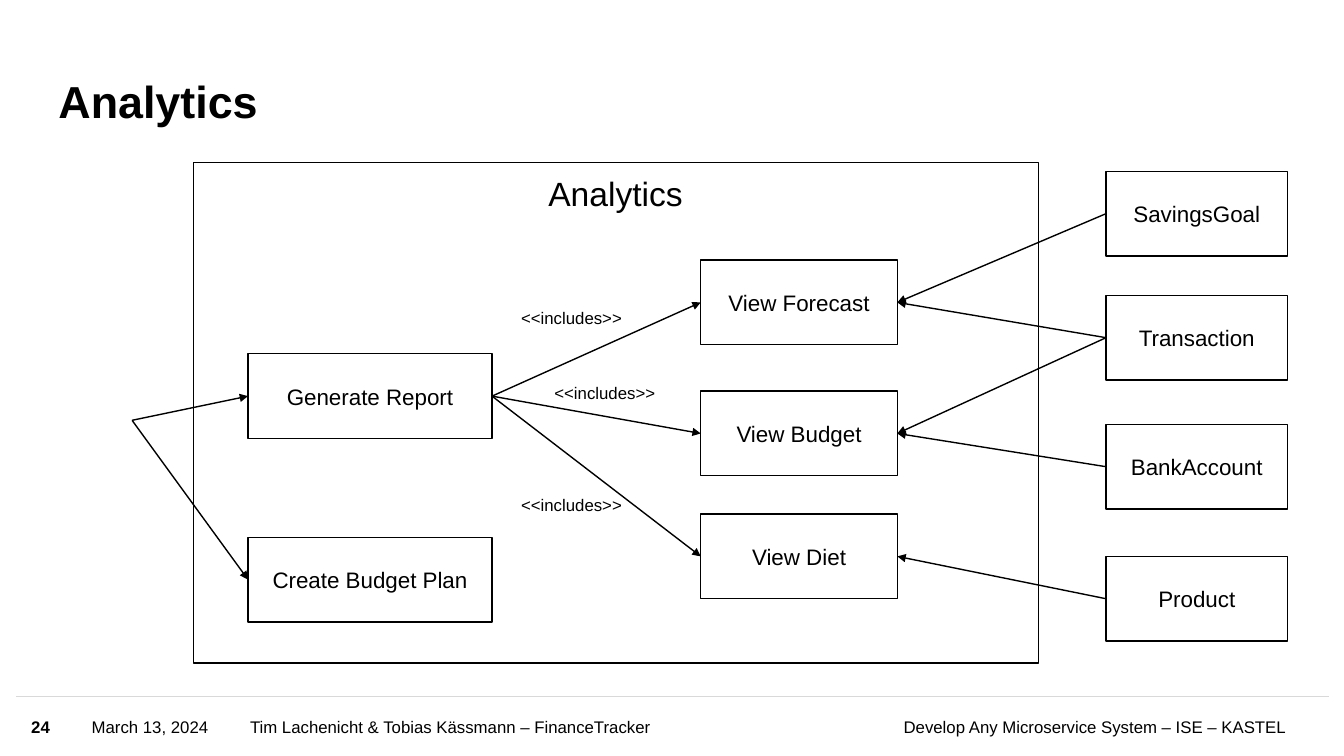
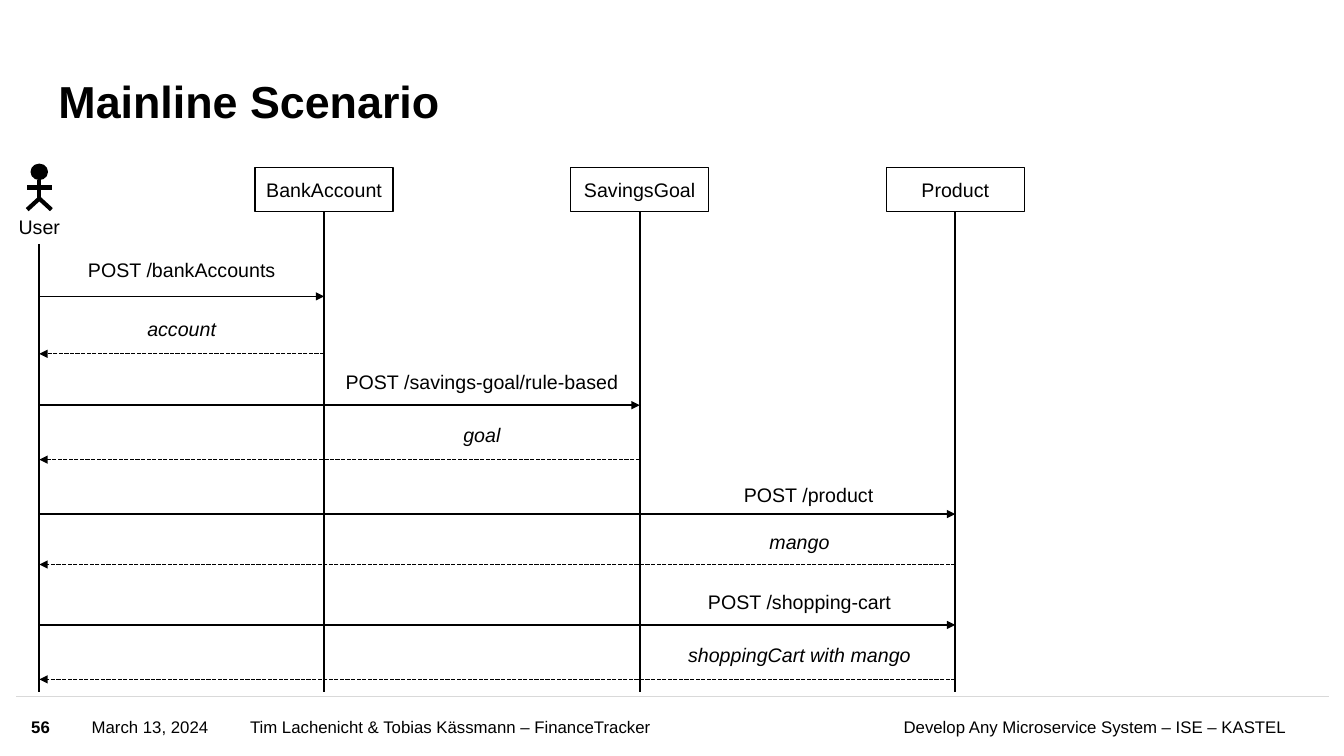
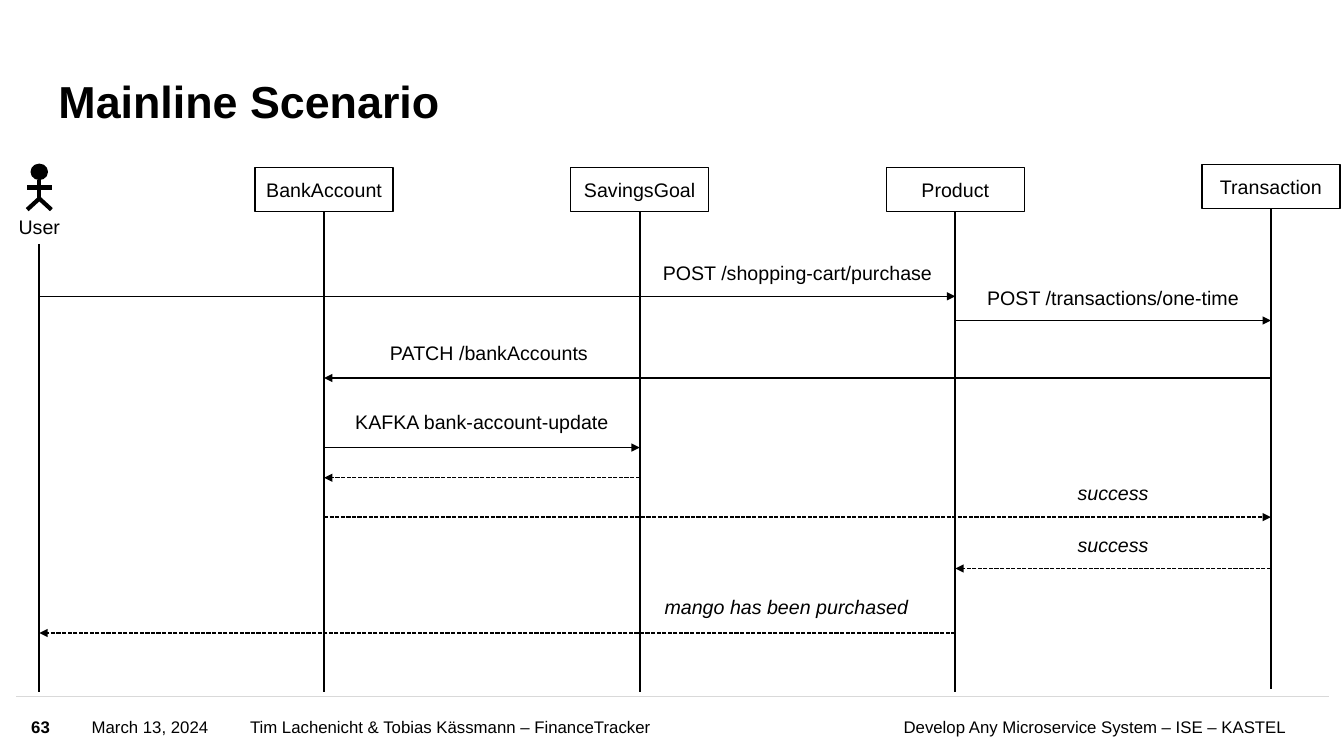
import pptx
import pptx.util
import pptx.dml.color
import pptx.enum.dml
import pptx.enum.shapes
import pptx.enum.text
import pptx.oxml.ns
import pptx.oxml.xmlchemy
from dataclasses import dataclass

Inch = pptx.util.Inches
Align = pptx.enum.text.PP_ALIGN
Anchor = pptx.enum.text.MSO_ANCHOR
Shape = pptx.enum.shapes.MSO_SHAPE
tag = pptx.oxml.ns.qn
make = pptx.oxml.xmlchemy.OxmlElement
TOP, LEFT, BOTTOM, RIGHT = range(4)


@dataclass(frozen=True)
class Theme:
    font: str = "Arial"
    ink: str = "000000"
    paper: str = "FFFFFF"
    rule: str = "D9D9D9"
    title: int = 32
    head: int = 24
    node: int = 16
    body: int = 14
    small: int = 12
    thin: float = 1
    life: float = 1.5
    limb: float = 3


T = Theme()
WIDE, HIGH = 13.33, 7.5

# Footer: text, left, width, format
DATE = "March 13, 2024"
FOOT = [
    ("Tim Lachenicht & Tobias Kässmann – FinanceTracker", 2.48, 5.37, {}),
    ("Develop Any Microservice System – ISE – KASTEL", 8.03, 4.73,
     {"align": Align.RIGHT}),
    (DATE, 0.91, 1.5, {}),
]
FOOT_TOP, FOOT_HIGH = 6.92, 0.58

# Use cases: column left, column width, {name: top}
CASES = [
    (2.46, 2.42, {"Generate Report": 3.51, "Create Budget Plan": 5.33}),
    (6.95, 1.95, {"View Forecast": 2.58, "View Budget": 3.88,
                  "View Diet": 5.1}),
    (10.97, 1.8, {"SavingsGoal": 1.7, "Transaction": 2.93,
                  "BankAccount": 4.21, "Product": 5.52}),
]
CASE_HIGH = 0.84
USER_AT = (1.31, 4.17)
STARTS = ["Generate Report", "Create Budget Plan"]
CALLS = [
    ("Generate Report", RIGHT, "View Forecast", LEFT),
    ("Generate Report", RIGHT, "View Budget", LEFT),
    ("Generate Report", RIGHT, "View Diet", LEFT),
    ("SavingsGoal", LEFT, "View Forecast", RIGHT),
    ("Transaction", LEFT, "View Forecast", RIGHT),
    ("Transaction", LEFT, "View Budget", RIGHT),
    ("BankAccount", LEFT, "View Budget", RIGHT),
    ("Product", LEFT, "View Diet", RIGHT),
]
INCLUDES = [(5.07, 3), (5.4, 3.75), (5.07, 4.86)]

# Sequence columns: name, top
ACTORS = [("BankAccount", 1.66), ("SavingsGoal", 1.66), ("Product", 1.66),
          ("Transaction", 1.63)]
HEAD_LEFT, HEAD_STEP, HEAD_WIDE, HEAD_HIGH = 2.53, 3.13, 1.37, 0.44
USER_X, USER_LOW, LIFE_LONG = 0.39, 2.42, 4.77
LIFE_LOW = 6.87
LIMBS = [((0.39, 1.97), (0.27, 2.08)), ((0.39, 1.79), (0.39, 1.97)),
         ((0.27, 1.86), (0.52, 1.86)), ((0.39, 1.97), (0.51, 2.08))]

# Messages: from, to, y, reply, label (text, gap, top, width, shift) or None
# Lifelines count from 0 (User); gap n lies between lifelines n and n + 1.
ORDER = [
    (0, 1, 2.94, False, ("POST /bankAccounts", 0, 2.51, 2.09, 0)),
    (1, 0, 3.51, True, ("account", 0, 3.09, 1.66, 0)),
    (0, 2, 4.02, False, ("POST /savings-goal/rule-based", 1, 3.62, 3.01, 0)),
    (2, 0, 4.56, True, ("goal", 1, 4.15, 1.66, 0)),
    (0, 3, 5.1, False, ("POST /product", 2, 4.74, 1.99, 0.11)),
    (3, 0, 5.6, True, ("mango", 2, 5.21, 1.66, 0.02)),
    (0, 3, 6.2, False, ("POST /shopping-cart", 2, 5.8, 2.05, 0.02)),
    (3, 0, 6.74, True, ("shoppingCart with mango", 2, 6.33, 2.44, 0.02)),
]
BUY = [
    (0, 3, 2.94, False, ("POST /shopping-cart/purchase", 2, 2.54, 2.89, 0)),
    (3, 4, 3.18, False, ("POST /transactions/one-time", 3, 2.79, 2.89, 0)),
    (4, 1, 3.75, False, ("PATCH /bankAccounts", 1, 3.33, 2.89, 0.07)),
    (1, 2, 4.44, False, ("KAFKA bank-account-update", 1, 4.02, 2.89, 0)),
    (2, 1, 4.74, True, None),
    (1, 4, 5.13, True, ("success", 3, 4.72, 1.66, 0)),
    (4, 3, 5.64, True, ("success", 3, 5.24, 1.66, 0)),
    (3, 0, 6.28, True, ("mango has been purchased", 2, 5.85, 2.77, -0.11)),
]


def rgb(code):
    return pptx.dml.color.RGBColor.from_string(code)


def write(shape, text, size=T.body, bold=False, italic=False,
          align=Align.CENTER, anchor=Anchor.TOP, wrap=False, inset=None,
          lead=None):
    frame = shape.text_frame
    frame.word_wrap = wrap
    frame.vertical_anchor = anchor
    if inset is not None:
        frame.margin_left = frame.margin_right = Inch(inset)
        frame.margin_top = frame.margin_bottom = Inch(inset)
    para = frame.paragraphs[0]
    para.alignment = align
    if lead:
        para.line_spacing = lead
    run = para.add_run()
    run.text = text
    font = run.font
    font.name, font.size = T.font, pptx.util.Pt(size)
    font.bold, font.italic = bold, italic
    font.color.rgb = rgb(T.ink)


def note(shapes, text, left, top, wide, high, **form):
    box = shapes.add_textbox(Inch(left), Inch(top), Inch(wide), Inch(high))
    write(box, text, **form)


def block(shapes, left, top, wide, high, kind=Shape.RECTANGLE, fill=None,
          clear=None, edge=True):
    """Draw a preset shape; clear is the opacity of its fill in percent."""
    shape = shapes.add_shape(kind, Inch(left), Inch(top), Inch(wide),
                             Inch(high))
    shape.shadow.inherit = False
    if fill:
        shape.fill.solid()
        shape.fill.fore_color.rgb = rgb(fill)
    else:
        shape.fill.background()
    if clear:
        color = shape._element.spPr.find(".//" + tag("a:srgbClr"))
        alpha = make("a:alpha")
        alpha.set("val", str(clear * 1000))
        color.append(alpha)
    if edge:
        shape.line.color.rgb = rgb(T.ink)
        shape.line.width = pptx.util.Pt(T.thin)
    else:
        shape.line.fill.background()
    return shape


def link(shapes, start, end, color=T.ink, width=T.thin, arrow=False,
         dash=False):
    """Join two ends, each a point (x, y) or a (shape, side) pair."""
    def glued(spot):
        return hasattr(spot[0], "shape_id")

    spots = [(0, 0) if glued(spot) else spot for spot in (start, end)]
    (x1, y1), (x2, y2) = spots
    wire = shapes.add_connector(pptx.enum.shapes.MSO_CONNECTOR.STRAIGHT,
                                Inch(x1), Inch(y1), Inch(x2), Inch(y2))
    if glued(start):
        wire.begin_connect(*start)
    if glued(end):
        wire.end_connect(*end)
    wire.line.color.rgb = rgb(color)
    wire.line.width = pptx.util.Pt(width)
    if dash:
        wire.line.dash_style = pptx.enum.dml.MSO_LINE.SQUARE_DOT
    props = wire._element.spPr
    if arrow:
        tip = make("a:tailEnd")
        tip.set("type", "triangle")
        props.find(tag("a:ln")).append(tip)
    props.append(make("a:effectLst"))


def page(deck, title, number):
    """Add a slide with the shared title, rule and footer."""
    shapes = deck.slides.add_slide(deck.slide_layouts[6]).shapes
    link(shapes, (0.16, 6.91), (13.18, 6.91), color=T.rule)
    foot = FOOT + [(str(number), 0.31, 0.48, {"bold": True})]
    for text, left, wide, form in foot:
        form = {"align": Align.LEFT, **form}
        note(shapes, text, left, FOOT_TOP, wide, FOOT_HIGH, size=T.small,
             anchor=Anchor.MIDDLE, wrap=True, inset=0, **form)
    note(shapes, title, 0.58, 0.43, 10.02, 0.84, size=T.title, bold=True,
         align=Align.LEFT, anchor=Anchor.BOTTOM, wrap=True, inset=0,
         lead=0.9)
    return shapes


def draw_cases(shapes):
    block(shapes, 1.92, 1.61, 8.38, 4.97)
    note(shapes, "Analytics", 5.33, 1.67, 1.55, 0.5, size=T.head)
    nodes = {}
    for left, wide, names in CASES:
        for name, top in names.items():
            nodes[name] = block(shapes, left, top, wide, CASE_HIGH)
            write(nodes[name], name, size=T.node, anchor=Anchor.MIDDLE)
    for name in STARTS:
        link(shapes, USER_AT, (nodes[name], LEFT), arrow=True)
    for start, out, end, side in CALLS:
        link(shapes, (nodes[start], out), (nodes[end], side), arrow=True)
    for left, top in INCLUDES:
        note(shapes, "<<includes>>", left, top, 1.21, 0.3, size=T.small,
             align=Align.LEFT)


def draw_user(shapes):
    group = shapes.add_group_shape().shapes
    block(group, 0.31, 1.63, 0.16, 0.15, kind=Shape.OVAL, fill=T.ink)
    for start, end in LIMBS:
        link(group, start, end, width=T.limb)
    note(group, "User", 0, 2.08, 0.78, 0.34)
    link(shapes, (USER_X, USER_LOW), (USER_X, LIFE_LOW), width=T.life)


def draw_flow(shapes, count, steps):
    """Draw the user, the first count actors and the messages."""
    draw_user(shapes)
    lives = [USER_X]
    for col, (name, top) in enumerate(ACTORS[:count]):
        left = HEAD_LEFT + col * HEAD_STEP
        mid = left + HEAD_WIDE / 2
        head = block(shapes, left, top, HEAD_WIDE, HEAD_HIGH)
        write(head, name, anchor=Anchor.MIDDLE)
        link(shapes, (head, BOTTOM), (mid, top + HEAD_HIGH + LIFE_LONG),
             width=T.life)
        lives.append(mid)
    for start, end, y, reply, label in steps:
        link(shapes, (lives[start], y), (lives[end], y), arrow=True,
             dash=reply)
        if label:
            text, gap, top, wide, shift = label
            mid = (lives[gap] + lives[gap + 1]) / 2 + shift
            plate = block(shapes, mid - wide / 2, top, wide, 0.34,
                          fill=T.paper, clear=90, edge=False)
            write(plate, text, italic=reply)


def main():
    deck = pptx.Presentation()
    deck.slide_width, deck.slide_height = Inch(WIDE), Inch(HIGH)
    draw_cases(page(deck, "Analytics", 24))
    draw_flow(page(deck, "Mainline Scenario", 56), 3, ORDER)
    draw_flow(page(deck, "Mainline Scenario", 63), 4, BUY)
    deck.save("out.pptx")


if __name__ == "__main__":
    main()
